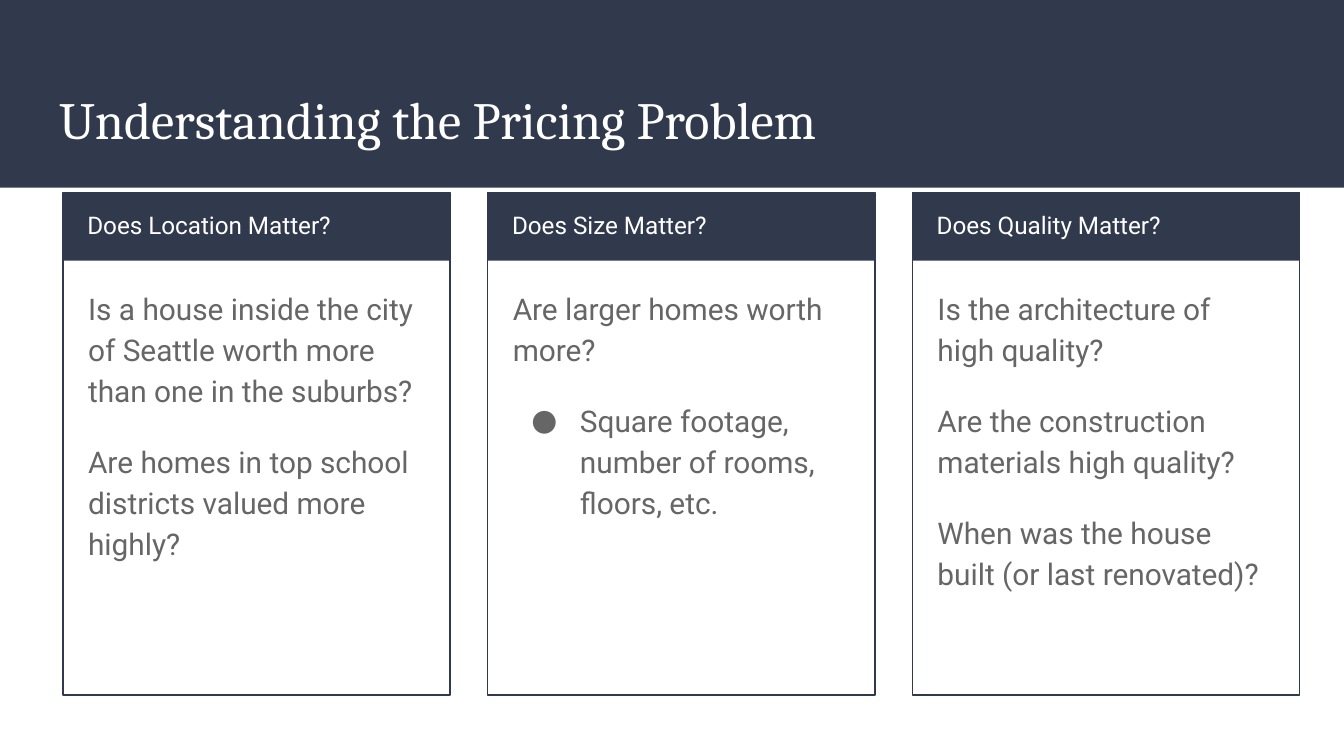
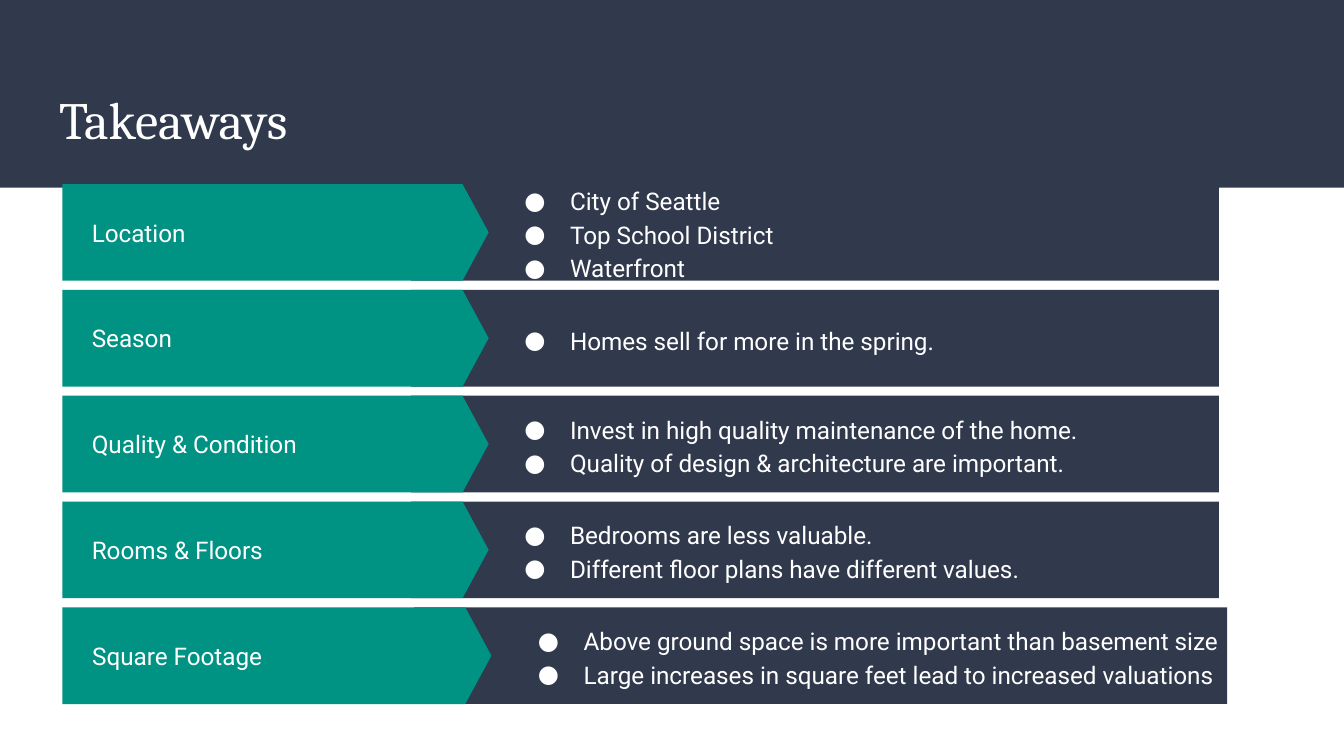
from copy import deepcopy
from dataclasses import dataclass
from typing import NamedTuple

from lxml import etree
from pptx import Presentation
from pptx.dml.color import RGBColor
from pptx.enum.shapes import MSO_SHAPE
from pptx.enum.text import MSO_ANCHOR, MSO_AUTO_SIZE, PP_ALIGN
from pptx.oxml.ns import qn
from pptx.util import Pt

RECTANGLE, PENTAGON = MSO_SHAPE.RECTANGLE, MSO_SHAPE.PENTAGON
TOP, MIDDLE = MSO_ANCHOR.TOP, MSO_ANCHOR.MIDDLE
LEFT, NO_AUTOFIT = PP_ALIGN.LEFT, MSO_AUTO_SIZE.NONE

NAVY, TEAL, GRAY, WHITE = "31394D", "009384", "666666", "FFFFFF"
SERIF, SANS = "Cambria", "Roboto"
BODY_COUNT = 10
MARGIN = 7.2
LIST_INDENT = 36
CARD_LEFT, CARD_TOP, CARD_STEP = 33.8, 103, 227.5
CARD_WIDTH, CARD_HEIGHT, HEADER_HEIGHT = 207.4, 269.3, 36.7
ROW_TOP, ROW_STEP, ROW_HEIGHT = 98.6, 56.7, 51.8


class Box(NamedTuple):
    """A rectangle in points."""
    left: float
    top: float
    width: float
    height: float


class Span(NamedTuple):
    """A horizontal extent in points."""
    left: float
    width: float


@dataclass(frozen=True)
class TextStyle:
    """The look of one block of text."""
    size: float
    color: str
    font: str = SANS
    anchor: MSO_ANCHOR = TOP
    line_spacing: float = 1.15
    gap: float = 0
    hanging: float = 24.5


@dataclass(frozen=True)
class Item:
    """One paragraph, with or without a bullet."""
    text: str
    bullet: bool = False


@dataclass(frozen=True)
class Card:
    """A question with its supporting points."""
    heading: str
    items: tuple[Item, ...]


@dataclass(frozen=True)
class RowColumns:
    """The horizontal layout of a takeaway row."""
    bar: Span
    arrow: Span
    label: Span
    detail: Span


@dataclass(frozen=True)
class Takeaway:
    """A topic with its conclusions."""
    topic: str
    points: tuple[str, ...]
    columns: RowColumns


TITLE = TextStyle(28, WHITE, SERIF, line_spacing=1.0)
HEADING = TextStyle(13, WHITE)
QUESTION = TextStyle(16, GRAY, gap=16, hanging=26)
TOPIC = TextStyle(13, WHITE, anchor=MIDDLE, line_spacing=1.0)
POINT = TextStyle(13, WHITE, anchor=MIDDLE)

REGULAR = RowColumns(Span(220.3, 432.7), Span(33.4, 228.4),
                     Span(42, 181.4), Span(262.2, 382.3))
WIDE = RowColumns(Span(221.8, 435.6), Span(33.4, 229.9),
                  Span(42.2, 187.2), Span(269.5, 394.6))

CARDS = (
    Card("Does Location Matter?", (
        Item("Is a house inside the city of Seattle worth more than one in the suburbs?"),
        Item("Are homes in top school districts valued more highly?"))),
    Card("Does Size Matter?", (
        Item("Are larger homes worth more?"),
        Item("Square footage, number of rooms, floors, etc.", True))),
    Card("Does Quality Matter?", (
        Item("Is the architecture of high quality?"),
        Item("Are the construction materials high quality?"),
        Item("When was the house built (or last renovated)?"))),
)

TAKEAWAYS = (
    Takeaway("Location", ("City of Seattle", "Top School District", "Waterfront"), REGULAR),
    Takeaway("Season", ("Homes sell for more in the spring.",), REGULAR),
    Takeaway("Quality & Condition", (
        "Invest in high quality maintenance of the home.",
        "Quality of design & architecture are important."), REGULAR),
    Takeaway("Rooms & Floors", (
        "Bedrooms are less valuable.",
        "Different floor plans have different values."), REGULAR),
    Takeaway("Square Footage", (
        "Above ground space is more important than basement size",
        "Large increases in square feet lead to increased valuations"), WIDE),
)


def color(value: str) -> RGBColor:
    """Turn a hex string into a colour."""
    return RGBColor.from_string(value)


def apply(target, formats: dict) -> None:
    """Set each named format on the target."""
    for name, value in formats.items():
        setattr(target, name, value)


def place(shape, box: Box) -> None:
    """Move and size a shape."""
    apply(shape, {name: Pt(value) for name, value in box._asdict().items()})


def draw(shapes, kind: MSO_SHAPE, box: Box, fill: str = "", line: str = ""):
    """Add a flat preset shape."""
    shape = shapes.add_shape(kind, *(Pt(value) for value in box))
    shape.shadow.inherit = False
    if fill:
        shape.fill.solid()
        shape.fill.fore_color.rgb = color(fill)
    else:
        shape.fill.background()
    if line:
        shape.line.color.rgb = color(line)
        shape.line.width = Pt(0.75)
    else:
        shape.line.fill.background()
    return shape


def set_bullet(para, item: Item, style: TextStyle) -> None:
    """Give a paragraph its bullet and indents, or clear them."""
    properties = para._p.get_or_add_pPr()
    indent = LIST_INDENT if item.bullet else 0
    hanging = -style.hanging if item.bullet else 0
    properties.set("marL", str(Pt(indent)))
    properties.set("indent", str(Pt(hanging)))
    if not item.bullet:
        etree.SubElement(properties, qn("a:buNone"))
        return
    tint = etree.SubElement(properties, qn("a:buClr"))
    etree.SubElement(tint, qn("a:srgbClr")).set("val", style.color)
    etree.SubElement(properties, qn("a:buFont")).set("typeface", style.font)
    etree.SubElement(properties, qn("a:buChar")).set("char", "●")


def write(page, shape, box: Box, items: tuple[Item, ...], style: TextStyle) -> None:
    """Place a placeholder in front and fill it with formatted text."""
    place(shape, box)
    page.shapes.element.append(shape.element)
    frame = shape.text_frame
    apply(frame, {"word_wrap": True, "auto_size": NO_AUTOFIT,
                  "vertical_anchor": style.anchor})
    apply(frame, {f"margin_{side}": Pt(MARGIN)
                  for side in ("left", "top", "right", "bottom")})
    for index, item in enumerate(items):
        para = frame.add_paragraph() if index else frame.paragraphs[0]
        apply(para, {"alignment": LEFT, "line_spacing": style.line_spacing,
                     "space_before": Pt(style.gap if index else 0),
                     "space_after": Pt(0)})
        set_bullet(para, item, style)
        span = para.add_run()
        span.text = item.text
        apply(span.font, {"name": style.font, "size": Pt(style.size), "bold": False})
        span.font.color.rgb = color(style.color)


def prepare_layout(layout) -> None:
    """Provide the layout with enough body placeholders."""
    body = layout.placeholders[1].element
    body.xpath(".//p:ph")[0].set("type", "body")
    for number in range(20, 20 + BODY_COUNT - 1):
        extra = deepcopy(body)
        extra.xpath(".//p:cNvPr")[0].set("id", str(number))
        extra.xpath(".//p:ph")[0].set("idx", str(number))
        body.addnext(extra)


def add_band(layout, page) -> None:
    """Put the title band at the back of the layout."""
    band = draw(page.shapes, RECTANGLE, Box(0, 0, 720, 100.5), NAVY)
    band.element.xpath(".//p:cNvPr")[0].set("id", "40")
    layout.shapes.element.insert(2, band.element)


def add_page(deck, layout, title: str):
    """Add a titled page and return it with its body placeholders."""
    page = deck.slides.add_slide(layout)
    heading = page.shapes.title
    bodies = [shape for shape in page.placeholders
              if shape.placeholder_format.idx != 0]
    write(page, heading, Box(24.5, 39.6, 671, 49), (Item(title),), TITLE)
    return page, bodies


def add_card(page, bodies: list, index: int, card: Card) -> None:
    """Draw one question card."""
    left = CARD_LEFT + index * CARD_STEP
    group = page.shapes.add_group_shape()
    draw(group.shapes, RECTANGLE, Box(left, CARD_TOP, CARD_WIDTH, HEADER_HEIGHT), NAVY)
    draw(group.shapes, RECTANGLE, Box(left, CARD_TOP, CARD_WIDTH, CARD_HEIGHT), line=NAVY)
    write(page, bodies.pop(0), Box(left + 5.8, CARD_TOP, 196.6, 36),
          (Item(card.heading),), HEADING)
    write(page, bodies.pop(0), Box(left + 6.2, CARD_TOP + 42.4, 195.1, 220.3),
          card.items, QUESTION)


def add_takeaway(page, bodies: list, index: int, takeaway: Takeaway) -> None:
    """Draw one takeaway row."""
    columns = takeaway.columns

    def cell(span: Span) -> Box:
        """Give the box of a column in this row."""
        return Box(span.left, ROW_TOP + index * ROW_STEP, span.width, ROW_HEIGHT)

    group = page.shapes.add_group_shape()
    draw(group.shapes, RECTANGLE, cell(columns.bar), NAVY)
    arrow = draw(group.shapes, PENTAGON, cell(columns.arrow), TEAL)
    arrow.adjustments[0] = 0.27
    write(page, bodies.pop(0), cell(columns.label), (Item(takeaway.topic),), TOPIC)
    write(page, bodies.pop(0), cell(columns.detail),
          tuple(Item(point, True) for point in takeaway.points), POINT)


def main() -> None:
    """Build the deck and save it."""
    deck = Presentation()
    apply(deck, {"slide_width": Pt(720), "slide_height": Pt(405)})
    layout = deck.slide_layouts[1]
    prepare_layout(layout)
    sections = (("Understanding the Pricing Problem", CARDS, add_card),
                ("Takeaways", TAKEAWAYS, add_takeaway))
    for title, entries, add_entry in sections:
        page, bodies = add_page(deck, layout, title)
        for index, entry in enumerate(entries):
            add_entry(page, bodies, index, entry)
        for spare in bodies:
            page.shapes.element.remove(spare.element)
    add_band(layout, deck.slides[0])
    deck.save("out.pptx")


if __name__ == "__main__":
    main()
